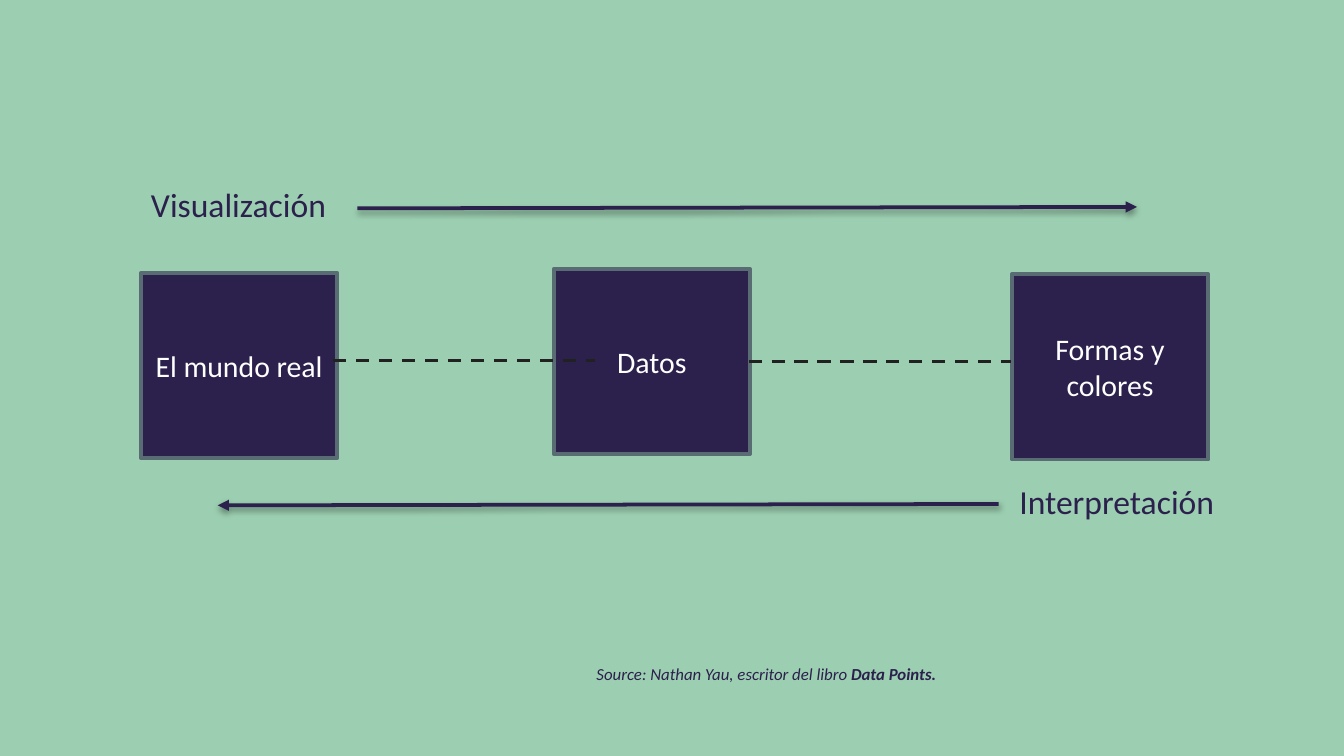
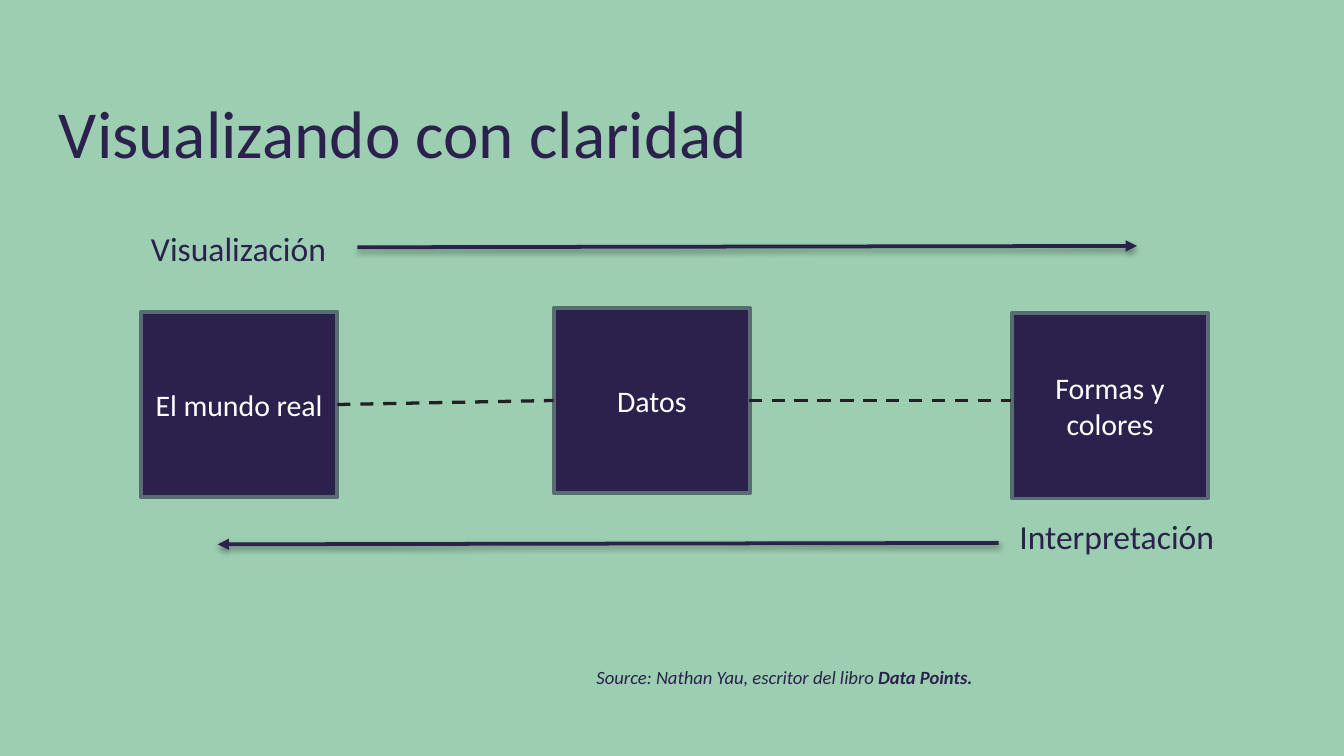
from lxml.etree import SubElement
from pptx import Presentation
from pptx.dml.color import RGBColor
from pptx.enum.dml import MSO_LINE
from pptx.enum.shapes import MSO_CONNECTOR, MSO_SHAPE
from pptx.enum.text import MSO_ANCHOR, MSO_AUTO_SIZE, PP_ALIGN
from pptx.oxml import parse_xml
from pptx.oxml.ns import nsdecls, qn
from pptx.util import Inches, Pt

MINT, NAVY, SLATE = "9CCFB1", "2C204D", "596B73"
CHARCOAL, WHITE = "212121", "FFFFFF"
FONT = "Calibri"
STAGE_WIDTH, STAGE_HEIGHT = 1.46, 1.38
STAGES = [("El mundo real", 1.05, 2.03), ("Datos", 4.12, 2), ("Formas y colores", 7.53, 2.04)]
SOURCE = [("Source: Nathan Yau, escritor del libro ", {"italic": True}),
          ("Data Points.", {"italic": True, "bold": True})]
ARROW_SHADOW = f"""<a:effectLst {nsdecls("a")}>
  <a:outerShdw blurRad="{Pt(3.1)}" dist="{Pt(1.6)}" dir="5400000" rotWithShape="0">
    <a:srgbClr val="000000"><a:alpha val="38000"/></a:srgbClr>
  </a:outerShdw>
</a:effectLst>"""
NO_EFFECTS = f"<a:effectLst {nsdecls('a')}/>"


def color(value):
    return RGBColor.from_string(value)


def add_span(para, text, size, text_color, styles=None):
    span = para.add_run()
    span.text = text
    formats = {"name": FONT, "size": Pt(size), **(styles or {})}
    for name, value in formats.items():
        setattr(span.font, name, value)
    span.font.color.rgb = color(text_color)


def add_page(deck):
    page = deck.slides.add_slide(deck.slide_layouts[6])
    page.background.fill.solid()
    page.background.fill.fore_color.rgb = color(MINT)
    return page


def add_stage(page, text, left, top):
    box = page.shapes.add_shape(MSO_SHAPE.RECTANGLE, Inches(left), Inches(top),
                                Inches(STAGE_WIDTH), Inches(STAGE_HEIGHT))
    box.shadow.inherit = False
    box.fill.solid()
    box.fill.fore_color.rgb = color(NAVY)
    box.line.color.rgb = color(SLATE)
    box.line.width = Pt(2)
    box.text_frame.word_wrap = True
    box.text_frame.vertical_anchor = MSO_ANCHOR.MIDDLE
    para = box.text_frame.paragraphs[0]
    para.alignment = PP_ALIGN.CENTER
    add_span(para, text, 16, WHITE)


def add_text_box(page, left, top, width, height):
    box = page.shapes.add_textbox(Inches(left), Inches(top), Inches(width), Inches(height))
    box.text_frame.word_wrap = True
    return box.text_frame


def add_label(page, text, left, top, width):
    frame = add_text_box(page, left, top, width, 0.4)
    frame.auto_size = MSO_AUTO_SIZE.SHAPE_TO_FIT_TEXT
    para = frame.paragraphs[0]
    para.alignment = PP_ALIGN.CENTER
    add_span(para, text, 18, NAVY)


def add_body_text(page, spans, size, left, top, width):
    """Add left-aligned text with even insets and open line spacing."""
    frame = add_text_box(page, left, top, width, 0.63)
    for side in ("left", "top", "right", "bottom"):
        setattr(frame, f"margin_{side}", Inches(0.1))
    para = frame.paragraphs[0]
    para.line_spacing = 1.15
    for text, styles in spans:
        add_span(para, text, size, NAVY, styles)


def add_line(page, start, end, line_color, width, effects):
    connector = page.shapes.add_connector(MSO_CONNECTOR.STRAIGHT, *map(Inches, start + end))
    connector.line.color.rgb = color(line_color)
    connector.line.width = Pt(width)
    connector._element.spPr.append(parse_xml(effects))
    return connector.line


def add_dashed_link(page, start, end):
    add_line(page, start, end, CHARCOAL, 1.75, NO_EFFECTS).dash_style = MSO_LINE.DASH


def add_arrow(page, start, end):
    line = add_line(page, start, end, NAVY, 2, ARROW_SHADOW)
    SubElement(line._get_or_add_ln(), qn("a:tailEnd"), type="triangle")


def add_flow(page, shift, label_tops, first_link, source_size):
    """Draw the whole diagram, moved down by shift inches."""
    for text, left, top in STAGES:
        add_stage(page, text, left, top + shift)
    add_dashed_link(page, (5.57, 2.69 + shift), (7.52, 2.69 + shift))
    add_arrow(page, (2.66, 1.55 + shift), (8.46, 1.54 + shift))
    add_arrow(page, (7.43, 3.75 + shift), (1.62, 3.76 + shift))
    add_label(page, "Visualización", 0.84, label_tops[0], 1.87)
    add_label(page, "Interpretación", 7.33, label_tops[1], 1.96)
    add_body_text(page, SOURCE, source_size, 4.34, 4.83, 3.83)
    add_dashed_link(page, *first_link)


def main():
    deck = Presentation()
    deck.slide_width = Inches(10)
    deck.slide_height = Inches(10 * 9 / 16)

    add_flow(add_page(deck), 0, (1.32, 3.53), ((2.48, 2.68), (4.43, 2.68)), 9)

    page = add_page(deck)
    add_flow(page, 0.29, (1.65, 3.79), ((2.51, 3.01), (4.12, 2.98)), 10)
    add_body_text(page, [("Visualizando con claridad", {})], 36, 0.34, 0.49, 9.32)

    deck.save("out.pptx")


if __name__ == "__main__":
    main()
